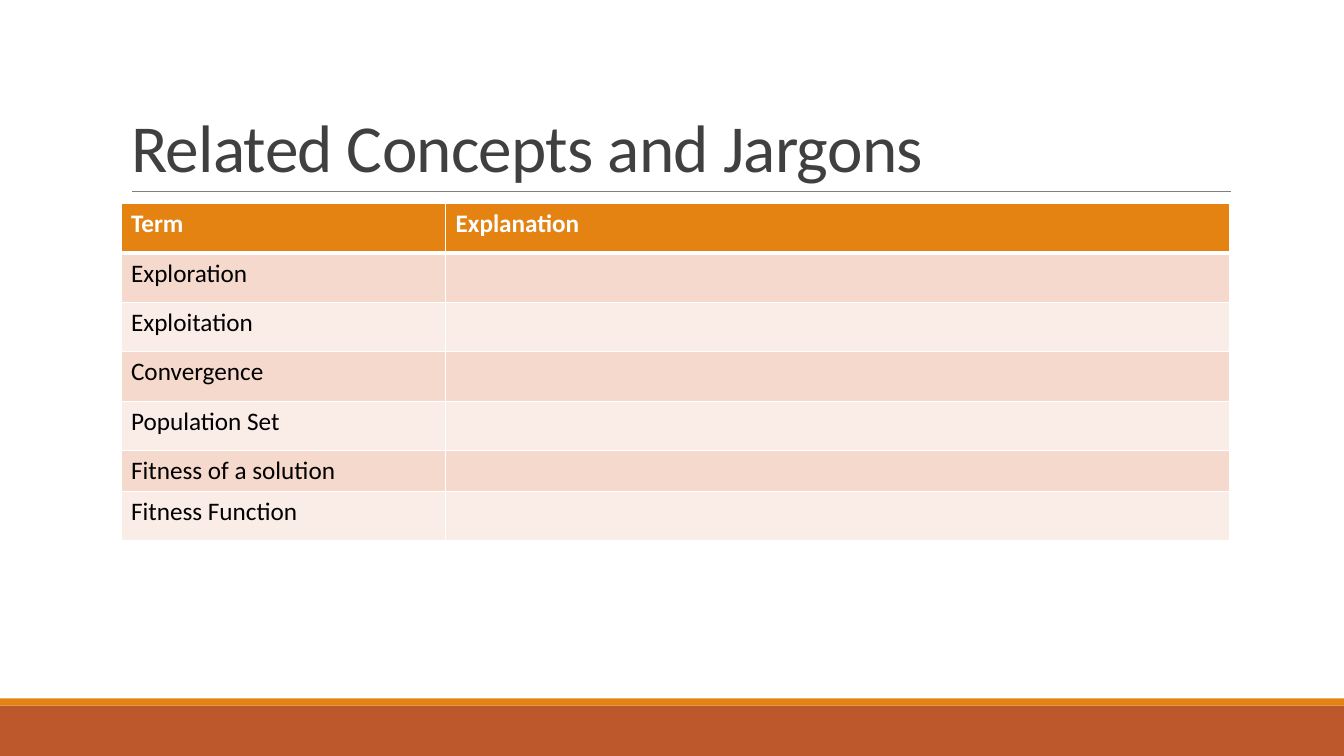
import pptx
import pptx.util
import pptx.dml.color
import pptx.enum.shapes
import pptx.enum.text
from dataclasses import dataclass
from lxml import etree

Inches, Pt = pptx.util.Inches, pptx.util.Pt
RGB = pptx.dml.color.RGBColor.from_string
NS = "http://schemas.openxmlformats.org/drawingml/2006/main"


@dataclass(frozen=True)
class Theme:
    font: str = "Calibri"
    head: str = "E48312"
    base: str = "BD582C"
    rule: str = "808080"
    title: str = "404040"
    odd: str = "F5D9CC"
    even: str = "FAEDE7"
    white: str = "FFFFFF"
    black: str = "000000"
    big: int = 48
    small: int = 18


theme = Theme()


def style(font, size, color, bold=False):
    font.name, font.size, font.bold = theme.font, Pt(size), bold
    font.color.rgb = RGB(color)


def edge(cell, side, width):
    line = etree.SubElement(cell._tc.get_or_add_tcPr(), f"{{{NS}}}ln{side}", w=str(Pt(width)))
    fill = etree.SubElement(line, f"{{{NS}}}solidFill")
    etree.SubElement(fill, f"{{{NS}}}srgbClr", val=theme.white)


deck = pptx.Presentation()
deck.slide_width, deck.slide_height = Inches(13.33), Inches(7.5)
slide = deck.slides.add_slide(deck.slide_layouts[5])
shapes = slide.shapes

# Footer bands
for top, height, color in [(7, 0.5, theme.base), (6.93, 0.07, theme.head)]:
    band = shapes.add_shape(pptx.enum.shapes.MSO_SHAPE.RECTANGLE,
                            0, Inches(top), deck.slide_width, Inches(height))
    band.shadow.inherit = False
    band.fill.solid()
    band.fill.fore_color.rgb = RGB(color)
    band.line.fill.background()

# Rule under the title
rule = shapes.add_connector(pptx.enum.shapes.MSO_CONNECTOR.STRAIGHT,
                            Inches(1.31), Inches(1.9), Inches(12.21), Inches(1.9))
rule.line.color.rgb = RGB(theme.rule)
rule.line.width = Pt(0.5)
etree.SubElement(rule._element.spPr, f"{{{NS}}}effectLst")

# Title
title = shapes.title
title.left, title.top = Inches(1.2), Inches(0.31)
title.width, title.height = Inches(11), Inches(1.59)
frame = title.text_frame
frame.text = "Related Concepts and Jargons"
frame.word_wrap = True
frame.auto_size = pptx.enum.text.MSO_AUTO_SIZE.NONE
frame.vertical_anchor = pptx.enum.text.MSO_ANCHOR.BOTTOM
para = frame.paragraphs[0]
para.alignment = pptx.enum.text.PP_ALIGN.LEFT
para.line_spacing = 0.85
style(para.runs[0].font, theme.big, theme.title)
para.runs[0].font._element.set("spc", "-50")

# Table of terms
rows = [("Term", "Explanation")] + [(term, "") for term in (
    "Exploration", "Exploitation", "Convergence", "Population Set",
    "Fitness of a solution", "Fitness Function")]
table = shapes.add_table(len(rows), 2, Inches(1.2), Inches(2.02),
                         Inches(11), Inches(3.34)).table
for col, width in zip(table.columns, (3.22, 7.78)):
    col.width = Inches(width)
for r, row in enumerate(rows):
    table.rows[r].height = Inches(0.4 if row[0] == "Fitness of a solution" else 0.49)
    for c, text in enumerate(row):
        cell = table.cell(r, c)
        for side in "LRTB":
            thick = (r, side) in [(0, "B"), (1, "T")]
            edge(cell, side, 3 if thick else 1)
        cell.fill.solid()
        fill = theme.head if r == 0 else theme.odd if r % 2 else theme.even
        cell.fill.fore_color.rgb = RGB(fill)
        if text:
            cell.text_frame.text = text
            style(cell.text_frame.paragraphs[0].runs[0].font, theme.small,
                  theme.black if r else theme.white, r == 0)

deck.save("out.pptx")
